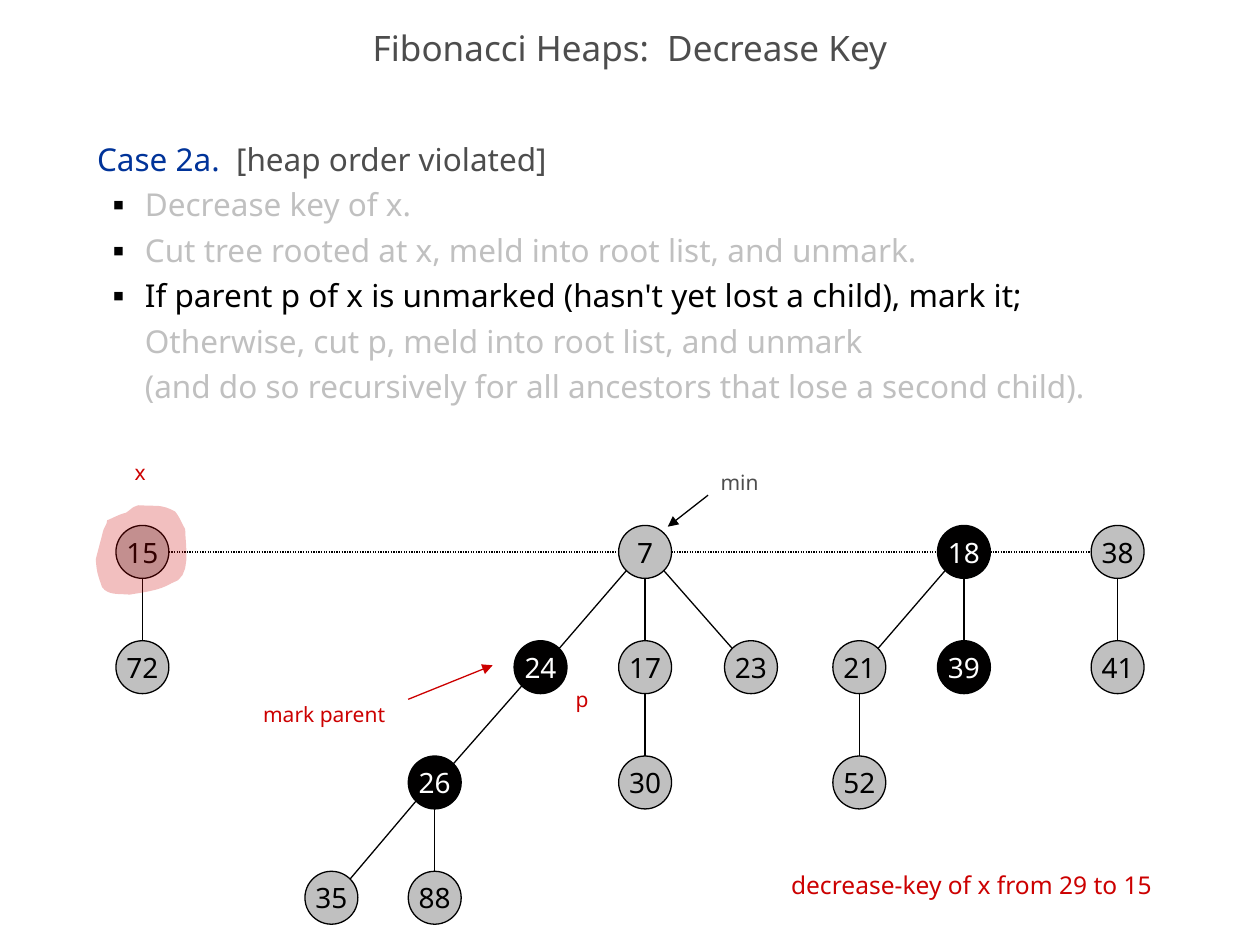
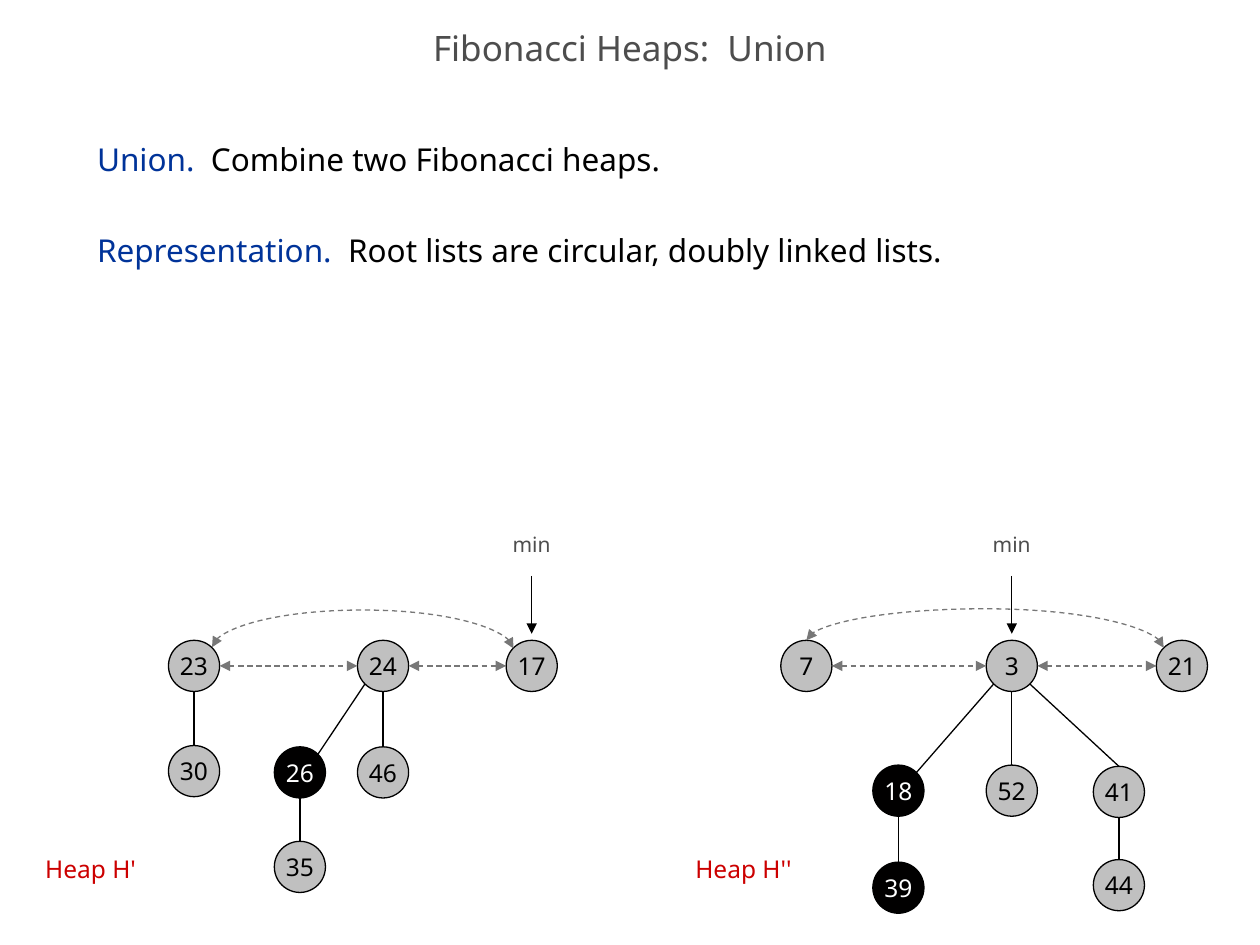
from dataclasses import dataclass
from itertools import pairwise
from math import sqrt

from lxml.etree import SubElement
from pptx import Presentation
from pptx.dml.color import RGBColor
from pptx.enum.dml import MSO_LINE
from pptx.enum.shapes import MSO_CONNECTOR, MSO_SHAPE
from pptx.enum.text import MSO_ANCHOR, MSO_AUTO_SIZE, PP_ALIGN
from pptx.oxml.ns import qn
from pptx.util import Emu, Inches, Pt

SLIDE_WIDTH, SLIDE_HEIGHT = Inches(10), Inches(7.5)
COLUMN, ROW = SLIDE_WIDTH / 100, SLIDE_HEIGHT / 75
FONT = "Noto Sans"
BLACK, WHITE, GRAY, FADED = "000000", "FFFFFF", "4D4D4D", "C0C0C0"
BLUE, RED, LINK_GRAY = "003399", "CC0000", "777777"
MARKED_FILL = "010000"

Point = tuple[float, float]


@dataclass(frozen=True)
class Span:
    text: str
    color: str = BLACK
    new_line: bool = False


@dataclass(frozen=True)
class Item:
    spans: list[Span]
    bullet: bool = False
    space_before: float = 0


@dataclass(frozen=True)
class Node:
    key: str
    column: float
    row: float
    parent: str = ""
    marked: bool = False
    joined_at_top: bool = False


@dataclass(frozen=True)
class NodeStyle:
    radius: float
    size: float


@dataclass(frozen=True)
class LineStyle:
    color: str = BLACK
    dash: MSO_LINE | None = None
    head: bool = False
    tail: bool = False


@dataclass(frozen=True)
class Label:
    text: str
    column: float
    row: float
    width: float
    color: str = RED
    size: float = 12


EDGE = LineStyle()
ARROW = LineStyle(tail=True)
RED_ARROW = LineStyle(RED, tail=True)
DOTTED = LineStyle(dash=MSO_LINE.ROUND_DOT)
DOUBLE_LINK = LineStyle(LINK_GRAY, MSO_LINE.DASH, head=True, tail=True)


def across(columns: float) -> Emu:
    return Emu(round(columns * COLUMN))


def down(rows: float) -> Emu:
    return Emu(round(rows * ROW))


def rgb(color: str) -> RGBColor:
    return RGBColor.from_string(color)


def place(shape, column: float, row: float, width: float, height: float) -> None:
    shape.left, shape.top = across(column), down(row)
    shape.width, shape.height = across(width), down(height)


def format_runs(para, size: float, color: str) -> None:
    for run in para.runs:
        run.font.name, run.font.size = FONT, Pt(size)
        run.font.color.rgb = rgb(color)


def set_bullet(para, bullet: bool) -> None:
    properties = para._p.get_or_add_pPr()
    properties.set("marL", str(across(3.8) if bullet else 0))
    properties.set("indent", str(across(-2.5) if bullet else 0))
    if not bullet:
        SubElement(properties, qn("a:buNone"))
        return
    SubElement(SubElement(properties, qn("a:buClr")), qn("a:srgbClr"), val=BLACK)
    SubElement(properties, qn("a:buSzPct"), val="35000")
    SubElement(properties, qn("a:buFont"), typeface=FONT)
    SubElement(properties, qn("a:buChar"), char="■")


def add_page(deck, title: str, items: list[Item]):
    page = deck.slides.add_slide(deck.slide_layouts[1])
    heading, body = page.placeholders
    place(heading, 0, 1.7, 100, 5)
    place(body, 6.7, 10, 85.8, 59.2)
    heading.text_frame.text = title
    heading.text_frame.vertical_anchor = MSO_ANCHOR.MIDDLE
    for frame in (heading.text_frame, body.text_frame):
        frame.auto_size = MSO_AUTO_SIZE.NONE
    para = heading.text_frame.paragraphs[0]
    para.alignment, para.line_spacing = PP_ALIGN.CENTER, 0.7
    format_runs(para, 20, GRAY)
    for index, item in enumerate(items):
        frame = body.text_frame
        para = frame.add_paragraph() if index else frame.paragraphs[0]
        para.level = int(item.bullet)
        para.line_spacing, para.space_before = Pt(26), Pt(item.space_before)
        set_bullet(para, item.bullet)
        for span in item.spans:
            if span.new_line:
                para.add_line_break()
            run = para.add_run()
            run.text = span.text
            run.font.name, run.font.size = FONT, Pt(18)
            run.font.color.rgb = rgb(span.color)
    return page


def style_line(connector, style: LineStyle) -> None:
    connector.line.color.rgb = rgb(style.color)
    connector.line.width = Pt(0.75)
    if style.dash:
        connector.line.dash_style = style.dash
    line = connector.line._get_or_add_ln()
    for tag, wanted in (("a:headEnd", style.head), ("a:tailEnd", style.tail)):
        if wanted:
            SubElement(line, qn(tag), type="triangle")
    SubElement(connector._element.spPr, qn("a:effectLst"))


def add_line(page, start: Point, end: Point, style: LineStyle) -> None:
    connector = page.shapes.add_connector(
        MSO_CONNECTOR.STRAIGHT, across(start[0]), down(start[1]), across(end[0]), down(end[1]))
    style_line(connector, style)


def add_arc(page, right: Point, left: Point, style: LineStyle, rise: float = 3.1) -> None:
    """Curve upwards from the right point over to the left one: a connector turned by 90 degrees."""
    depth, span = max(right[1] - left[1], 0.1), right[0] - left[0]
    connector = page.shapes.add_connector(MSO_CONNECTOR.CURVE, 0, 0, 0, 0)
    place(connector, (right[0] + left[0] - depth) / 2, (right[1] + left[1] - span) / 2, depth, span)
    properties = connector._element.spPr
    frame = properties.find(qn("a:xfrm"))
    frame.set("rot", str(90 * 60000))
    frame.set("flipH", "1")
    guides = properties.find(qn("a:prstGeom")).get_or_add_avLst()
    SubElement(guides, qn("a:gd"), name="adj1", fmla=f"val {round(rise / depth * 100000)}")
    style_line(connector, style)


def rim(node: Node, style: NodeStyle, across_sign: int, down_sign: int) -> Point:
    """Point on a node's circle in one of the eight compass directions."""
    reach = style.radius / sqrt(abs(across_sign) + abs(down_sign))
    return node.column + across_sign * reach, node.row + down_sign * reach


def add_node(page, node: Node, style: NodeStyle) -> None:
    circle = page.shapes.add_shape(MSO_SHAPE.OVAL, 0, 0, 0, 0)
    place(circle, node.column - style.radius, node.row - style.radius,
          2 * style.radius, 2 * style.radius)
    circle.shadow.inherit = False
    circle.fill.solid()
    circle.fill.fore_color.rgb = rgb(MARKED_FILL if node.marked else FADED)
    circle.line.color.rgb = rgb(BLACK)
    circle.line.width = Pt(0.75)
    frame = circle.text_frame
    frame.text, frame.word_wrap = node.key, False
    frame.vertical_anchor = MSO_ANCHOR.MIDDLE
    frame.margin_left = frame.margin_right = frame.margin_top = frame.margin_bottom = 0
    frame.paragraphs[0].alignment = PP_ALIGN.CENTER
    format_runs(frame.paragraphs[0], style.size, WHITE if node.marked else BLACK)


def add_heap(page, nodes: list[Node], style: NodeStyle, link: LineStyle) -> dict[str, Node]:
    """Draw the trees and link neighbouring roots; return the nodes by key."""
    by_key = {node.key: node for node in nodes}
    for node in nodes:
        add_node(page, node, style)
        if node.parent:
            parent = by_key[node.parent]
            side = (node.column > parent.column) - (node.column < parent.column)
            entry = 0 if node.joined_at_top else -side
            add_line(page, rim(parent, style, side, 1), rim(node, style, entry, -1), EDGE)
    for left, right in pairwise(node for node in nodes if not node.parent):
        add_line(page, rim(left, style, 1, 0), rim(right, style, -1, 0), link)
    return by_key


def add_label(page, label: Label) -> None:
    box = page.shapes.add_textbox(0, 0, 0, 0)
    place(box, label.column, label.row, label.width, 3 if label.size == 12 else 3.3)
    box.text_frame.text = label.text
    box.text_frame.word_wrap = False
    box.text_frame.auto_size = MSO_AUTO_SIZE.SHAPE_TO_FIT_TEXT
    format_runs(box.text_frame.paragraphs[0], label.size, label.color)


def add_highlight(page) -> None:
    """Translucent hand-drawn blob, smoothed from cubic curves."""
    start = (8.5, 41.3)
    curves = [
        ((9, 41.1), (9.5, 40.8), (10, 40.7)), ((10.7, 40.2), (10.4, 40.3), (11, 40.1)),
        ((12.5, 40.2), (12.8, 40), (13.9, 40.6)), ((14.3, 41.1), (14.4, 41.5), (14.7, 42)),
        ((14.7, 43.3), (15.3, 45.9), (13.6, 46.3)), ((12.6, 46.9), (11.4, 47), (10.3, 47.2)),
        ((9.5, 47.1), (8.6, 47.3), (8.1, 46.6)), ((7.8, 45.7), (7.7, 45.6), (7.6, 44.4)),
        ((7.8, 43.6), (8, 42.9), (8.2, 42.1)), ((8.3, 41.8), (8.5, 41.6), start),
    ]
    steps, outline, pen = 8, [], start
    for first, second, end in curves:
        for step in range(1, steps + 1):
            t = step / steps
            x, y = ((1 - t) ** 3 * a + 3 * (1 - t) ** 2 * t * b + 3 * (1 - t) * t ** 2 * c + t ** 3 * d
                    for a, b, c, d in zip(pen, first, second, end))
            outline.append((across(x), down(y)))
        pen = end
    builder = page.shapes.build_freeform(across(start[0]), down(start[1]))
    builder.add_line_segments(outline, close=True)
    blob = builder.convert_to_shape()
    blob.shadow.inherit = False
    blob.line.fill.background()
    blob.fill.solid()
    blob.fill.fore_color.rgb = rgb(RED)
    color = blob._element.spPr.find(qn("a:solidFill")).find(qn("a:srgbClr"))
    SubElement(color, qn("a:alpha"), val="25000")


def build_decrease_key(deck) -> None:
    page = add_page(deck, "Fibonacci Heaps:  Decrease Key", [
        Item([Span("Case 2a.  ", BLUE), Span("[heap order violated]", GRAY)]),
        Item([Span("Decrease key of x.", FADED)], bullet=True),
        Item([Span("Cut tree rooted at x, meld into root list, and unmark.", FADED)], bullet=True),
        Item([Span("If parent p of x is unmarked (hasn't yet lost a child), mark it;"),
              Span("Otherwise, cut p, meld into root list, and unmark", FADED, new_line=True),
              Span("(and do so recursively for all ancestors that lose a second child).",
                   FADED, new_line=True)], bullet=True),
    ])
    roots, children, grandchildren, leaves = (43.8 + 9.15 * level for level in range(4))
    add_heap(page, [
        Node("15", 11.3, roots), Node("72", 11.3, children, "15"),
        Node("7", 51.2, roots), Node("24", 42.9, children, "7", marked=True),
        Node("17", 51.2, children, "7"), Node("23", 59.6, children, "7"),
        Node("26", 34.5, grandchildren, "24", marked=True), Node("30", 51.2, grandchildren, "17"),
        Node("35", 26.3, leaves, "26"), Node("88", 34.5, leaves, "26"),
        Node("18", 76.5, roots, marked=True), Node("21", 68.2, children, "18"),
        Node("39", 76.5, children, "18", marked=True), Node("52", 68.2, grandchildren, "21"),
        Node("38", 88.7, roots), Node("41", 88.7, children, "38"),
    ], NodeStyle(radius=2.1, size=16), DOTTED)
    add_highlight(page)
    add_line(page, (56.2, 39.3), (53, 41.8), ARROW)
    add_line(page, (32.4, 55.5), (39.1, 52.8), RED_ARROW)
    for label in (Label("x", 9.7, 36, 2.9), Label("min", 56.2, 36.8, 5.1, GRAY),
                  Label("p", 44.7, 54, 3), Label("mark parent", 19.9, 55.2, 11.9),
                  Label("decrease-key of x from 29 to 15", 61.8, 68.6, 32.1, size=14)):
        add_label(page, label)


def build_union(deck) -> None:
    page = add_page(deck, "Fibonacci Heaps:  Union", [
        Item([Span("Union.  ", BLUE), Span("Combine two Fibonacci heaps.")]),
        Item([Span("Representation.  ", BLUE),
              Span("Root lists are circular, doubly linked lists.")], space_before=26),
    ])
    style, roots = NodeStyle(radius=2.03, size=14), 52.85
    first = add_heap(page, [
        Node("23", 15.4, roots), Node("30", 15.4, 61.2, "23"),
        Node("24", 30.4, roots), Node("26", 23.8, 61.3, "24", marked=True),
        Node("46", 30.4, 61.3, "24"), Node("35", 23.8, 68.8, "26"), Node("17", 42.2, roots),
    ], style, DOUBLE_LINK)
    second = add_heap(page, [
        Node("7", 64, roots), Node("3", 80.3, roots),
        Node("18", 71.3, 62.75, "3", marked=True), Node("52", 80.3, 62.75, "3"),
        Node("41", 88.8, 62.85, "3", joined_at_top=True),
        Node("39", 71.3, 70.45, "18", marked=True), Node("44", 88.8, 70.25, "41"),
        Node("21", 93.8, roots),
    ], style, DOUBLE_LINK)
    add_arc(page, rim(first["17"], style, -1, -1), rim(first["23"], style, 1, -1), DOUBLE_LINK)
    add_arc(page, rim(second["21"], style, -1, -1), rim(second["7"], style, 0, -1), DOUBLE_LINK)
    for minimum in (first["17"], second["3"]):
        add_label(page, Label("min", minimum.column - 2.5, 41.7, 5.1, GRAY))
        add_line(page, (minimum.column, 45.7), (minimum.column, 50.3), ARROW)
    add_label(page, Label("Heap H'", 2.6, 67.3, 9.3, size=14))
    add_label(page, Label("Heap H''", 54.2, 67.3, 9.7, size=14))


def main() -> None:
    deck = Presentation()
    deck.slide_width, deck.slide_height = SLIDE_WIDTH, SLIDE_HEIGHT
    build_decrease_key(deck)
    build_union(deck)
    deck.save("out.pptx")


if __name__ == "__main__":
    main()
